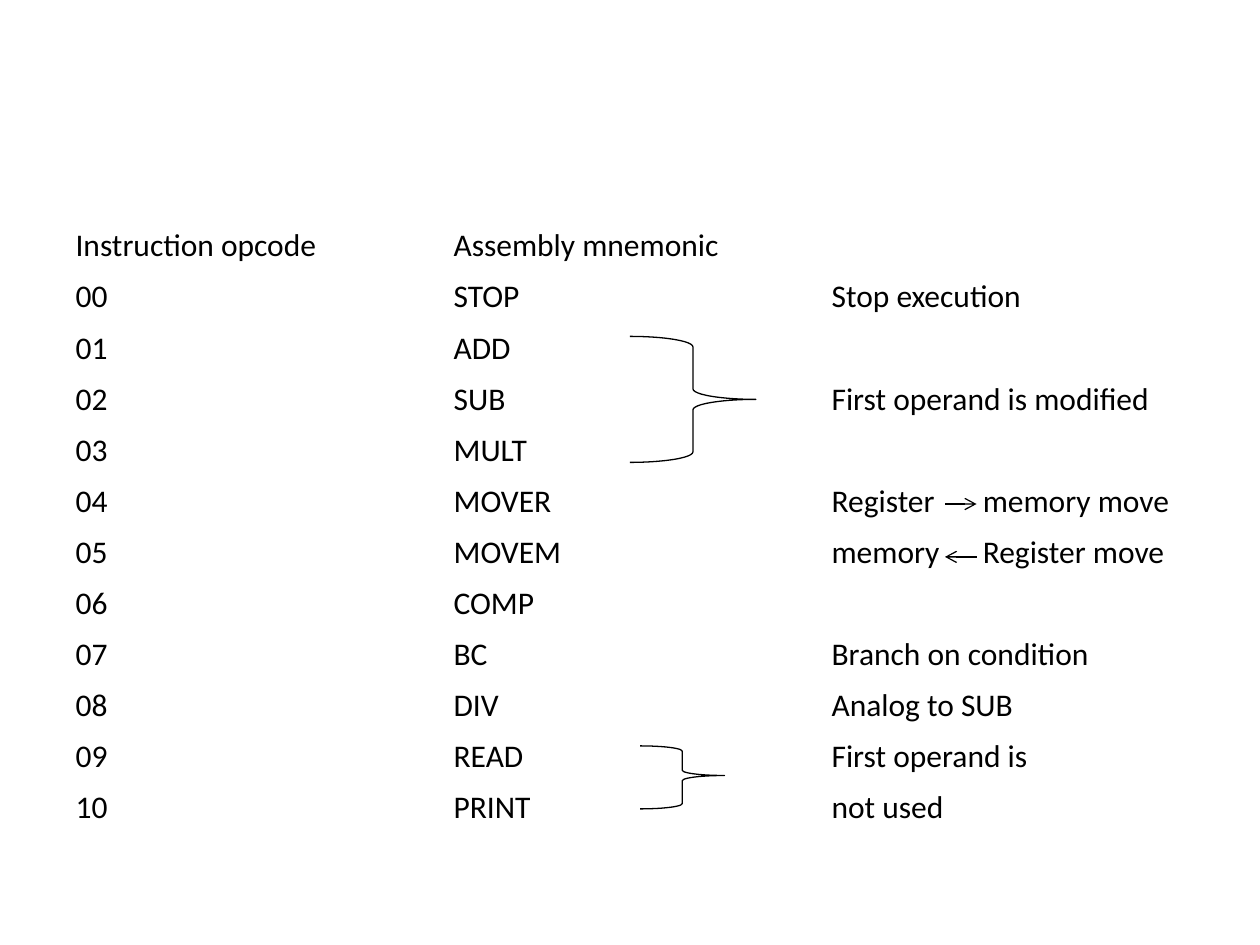
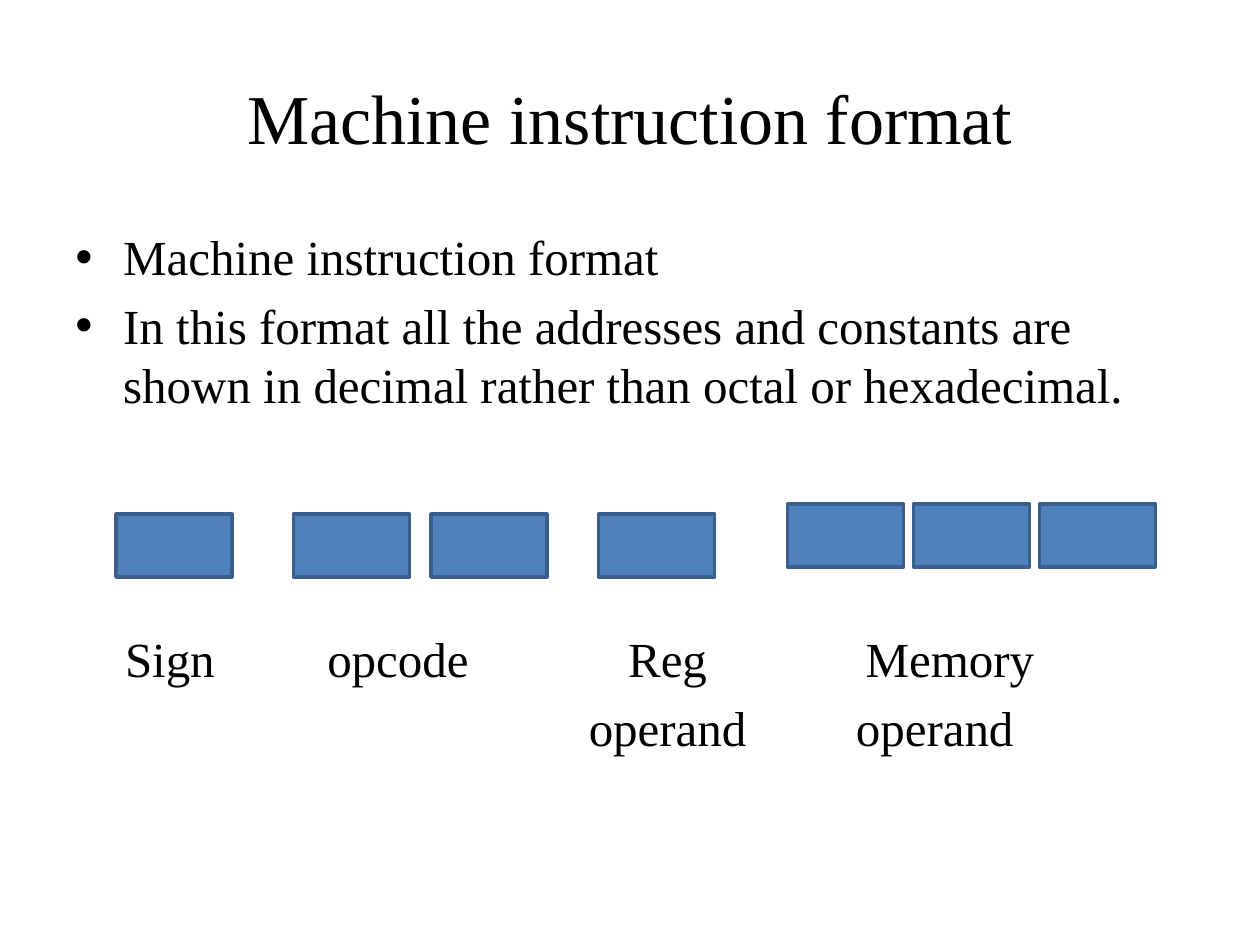
from dataclasses import dataclass

from lxml.etree import SubElement
from pptx import Presentation
from pptx.dml.color import RGBColor
from pptx.enum.shapes import MSO_CONNECTOR, MSO_SHAPE
from pptx.enum.text import MSO_ANCHOR, PP_ALIGN
from pptx.oxml.ns import qn
from pptx.util import Inches, Pt


@dataclass(frozen=True)
class Theme:
    ink: RGBColor = RGBColor(0x00, 0x00, 0x00)
    field_fill: RGBColor = RGBColor(0x4F, 0x81, 0xBD)
    field_edge: RGBColor = RGBColor(0x3A, 0x5F, 0x8C)
    table_font: str = "Calibri"
    text_font: str = "Times New Roman"
    table_size: Pt = Pt(18)
    title_size: Pt = Pt(40)
    body_size: Pt = Pt(28)
    body_leading: Pt = Pt(33.7)
    body_gap: Pt = Pt(5.6)
    label_gap: Pt = Pt(123)
    thin: Pt = Pt(0.75)
    thick: Pt = Pt(2)


THEME = Theme()
TABLE_TEXT = {"name": THEME.table_font, "size": THEME.table_size}
TITLE_TEXT = {"name": THEME.text_font, "size": THEME.title_size}
BODY_TEXT = {"name": THEME.text_font, "size": THEME.body_size}

INSTRUCTIONS = [
    ("Instruction opcode", "Assembly mnemonic", ""),
    ("00", "STOP", "Stop execution"),
    ("01", "ADD", ""),
    ("02", "SUB", "First operand is modified"),
    ("03", "MULT", ""),
    ("04", "MOVER", "Register\tmemory move"),
    ("05", "MOVEM", "memory\tRegister move"),
    ("06", "COMP", ""),
    ("07", "BC", "Branch on condition"),
    ("08", "DIV", "Analog to SUB"),
    ("09", "READ", "First operand is"),
    ("10", "PRINT", "not used"),
]
BULLETS = [
    "Machine instruction format",
    "In this format all the addresses and constants are shown in decimal "
    "rather than octal or hexadecimal.",
]
# Each label row: words with the centre of each, from the text edge
LABEL_ROWS = [
    [("Sign", 0.75), ("opcode", 2.56), ("Reg", 4.7), ("Memory", 6.94)],
    [("operand", 4.7), ("operand", 6.82)],
]
# Each field: left, top, number of digits, distance between digits
FIELDS = [(0.92, 4.08, 1, 0), (2.33, 4.08, 2, 1.09),
          (4.75, 4.08, 1, 0), (6.25, 4, 3, 1)]


def apply(target, values):
    for name, value in values.items():
        setattr(target, name, value)


def write(para, text, style):
    span = para.add_run()
    span.text = text
    apply(span.font, style)
    span.font.color.rgb = THEME.ink


def set_tabs(para, stops, align):
    tabs = SubElement(para._p.get_or_add_pPr(), qn("a:tabLst"))
    for stop in stops:
        SubElement(tabs, qn("a:tab"), pos=str(Inches(stop)), algn=align)


def set_bullet(para):
    props = para._p.get_or_add_pPr()
    props.set("marL", str(Inches(0.38)))
    props.set("indent", str(Inches(-0.38)))
    SubElement(props, qn("a:buFont"), typeface="Arial")
    SubElement(props, qn("a:buChar"), char="•")


def add_box(page, left, top, width, height, anchor):
    box = page.shapes.add_textbox(*map(Inches, (left, top, width, height)))
    apply(box.text_frame, {"word_wrap": True, "vertical_anchor": anchor})
    return box.text_frame


def add_preset(page, kind, left, top, width, height, edge, weight, fill=None):
    shape = page.shapes.add_shape(kind, *map(Inches, (left, top, width, height)))
    shape.shadow.inherit = False
    if fill is None:
        shape.fill.background()
    else:
        shape.fill.solid()
        shape.fill.fore_color.rgb = fill
    shape.line.color.rgb = edge
    shape.line.width = weight
    return shape


def add_arrow(page, start, end, level):
    arrow = page.shapes.add_connector(
        MSO_CONNECTOR.STRAIGHT, *map(Inches, (start, level, end, level)))
    arrow.line.color.rgb = THEME.ink
    arrow.line.width = THEME.thin
    SubElement(arrow.line._get_or_add_ln(), qn("a:tailEnd"), type="arrow")
    SubElement(arrow._element.spPr, qn("a:effectLst"))


def add_instruction_table(page):
    frame = page.shapes.add_table(len(INSTRUCTIONS), 3, Inches(0.5),
                                  Inches(1.75), Inches(9), Inches(4.87))
    table = frame.table
    apply(table, {"first_row": False, "horz_banding": False})
    for row, texts in zip(table.rows, INSTRUCTIONS):
        for cell, text in zip(row.cells, texts):
            cell.fill.background()
            para = cell.text_frame.paragraphs[0]
            if "\t" in text:
                set_tabs(para, [1.2], "l")
            if text:
                write(para, text, TABLE_TEXT)
            else:
                apply(para.font, TABLE_TEXT)


def add_title(page, text):
    para = add_box(page, 0.5, 0.3, 9, 1.25, MSO_ANCHOR.MIDDLE).paragraphs[0]
    para.alignment = PP_ALIGN.CENTER
    write(para, text, TITLE_TEXT)


def add_body(page):
    frame = add_box(page, 0.5, 1.75, 9, 4.95, MSO_ANCHOR.TOP)
    for index, text in enumerate(BULLETS):
        para = frame.add_paragraph() if index else frame.paragraphs[0]
        set_bullet(para)
        if index:
            para.space_before = THEME.body_gap
        para.line_spacing = THEME.body_leading
        write(para, text, BODY_TEXT)
    # Field labels, centred on tab stops
    for index, labels in enumerate(LABEL_ROWS):
        para = frame.add_paragraph()
        set_tabs(para, [centre for _, centre in labels], "ctr")
        apply(para, {"line_spacing": THEME.body_leading,
                     "space_before": THEME.body_gap if index else THEME.label_gap})
        write(para, "".join("\t" + word for word, _ in labels), BODY_TEXT)


def add_field(page, left, top, count, pitch):
    for index in range(count):
        add_preset(page, MSO_SHAPE.RECTANGLE, left + index * pitch, top,
                   0.92, 0.5, THEME.field_edge, THEME.thick, THEME.field_fill)


def build_opcode_page(page):
    add_instruction_table(page)
    # Braces that group mnemonics
    add_preset(page, MSO_SHAPE.RIGHT_BRACE, 5, 2.67, 1, 1, THEME.ink, THEME.thin)
    brace = add_preset(page, MSO_SHAPE.RIGHT_BRACE, 5.08, 5.92, 0.67, 0.5,
                       THEME.ink, THEME.thin)
    brace.adjustments[1] = 0.47
    # Directions of the two moves
    add_arrow(page, 7.5, 7.75, 4)
    add_arrow(page, 7.75, 7.5, 4.42)


def build_format_page(page):
    add_title(page, "Machine instruction format")
    add_body(page)
    for field in FIELDS:
        add_field(page, *field)


def main():
    deck = Presentation()
    apply(deck, {"slide_width": Inches(10), "slide_height": Inches(7.5)})
    for build in (build_opcode_page, build_format_page):
        build(deck.slides.add_slide(deck.slide_layouts[6]))
    deck.save("out.pptx")


if __name__ == "__main__":
    main()
